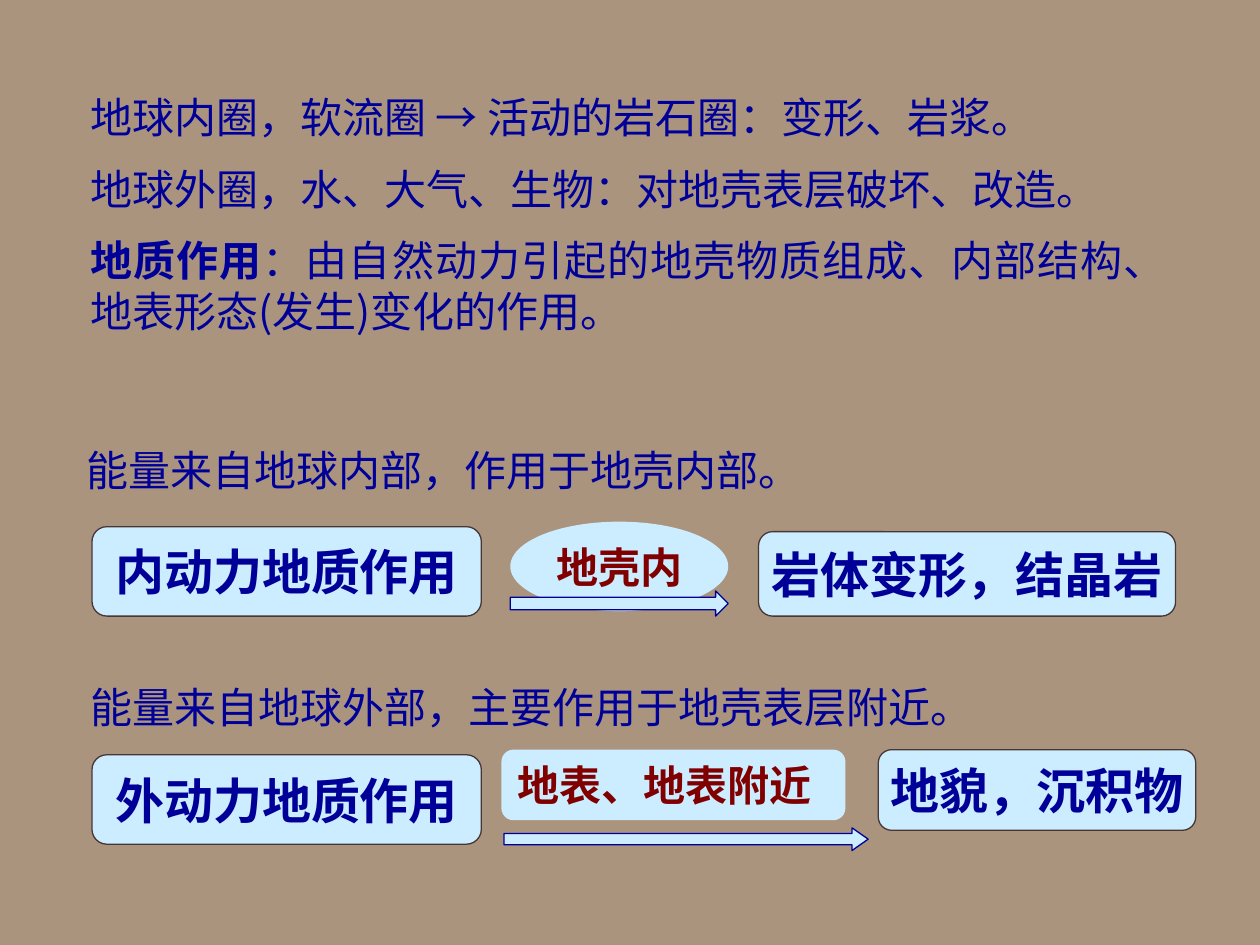
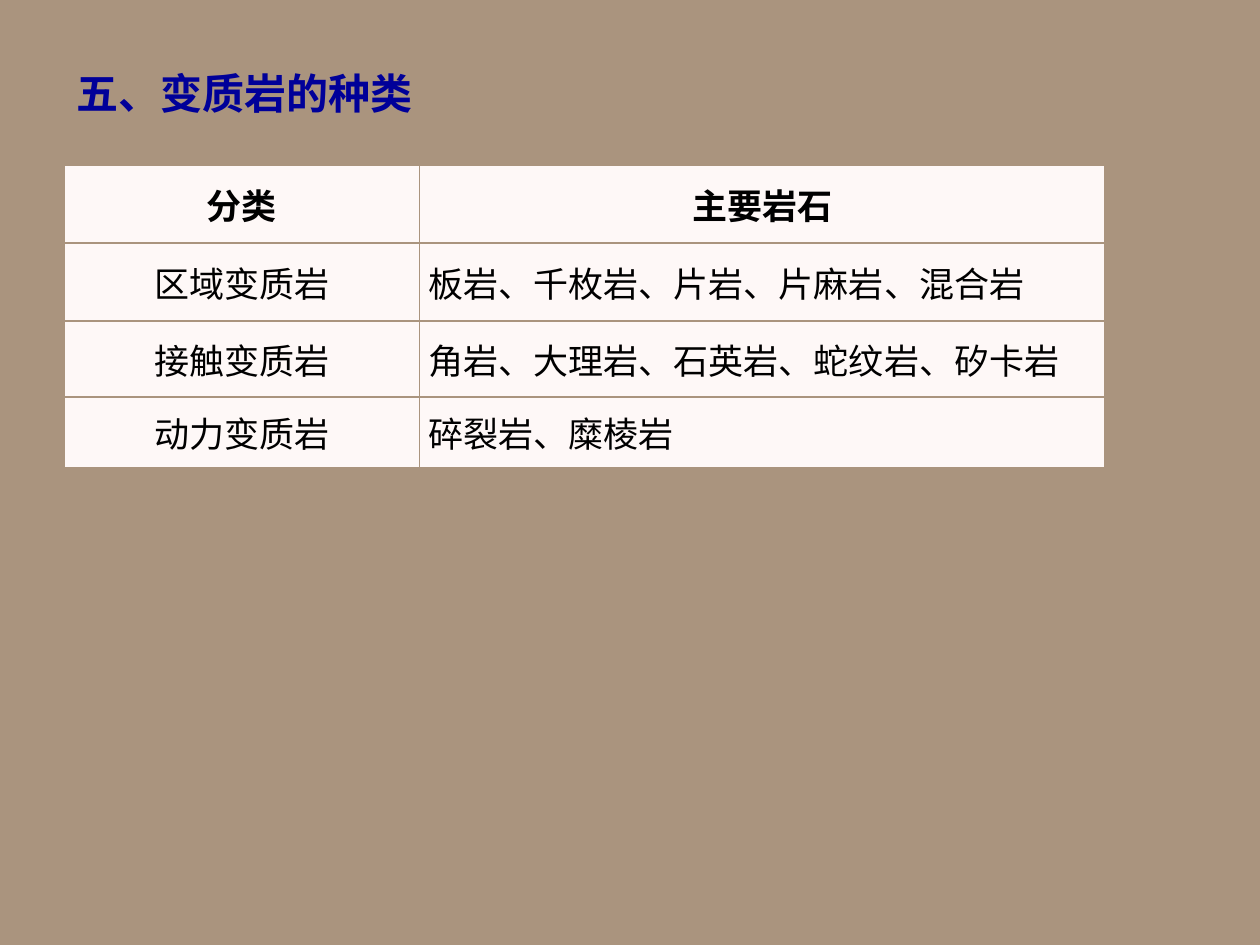
import dataclasses
import typing

import lxml.etree
import pptx
import pptx.dml.color
import pptx.dml.fill
import pptx.enum.shapes
import pptx.enum.text
import pptx.oxml.ns
import pptx.slide
import pptx.text.text
import pptx.util

Inches = pptx.util.Inches
Pt = pptx.util.Pt
Shape = pptx.enum.shapes.MSO_SHAPE
Align = pptx.enum.text.PP_ALIGN
Anchor = pptx.enum.text.MSO_ANCHOR
qn = pptx.oxml.ns.qn

FACE = "Noto Sans CJK SC"
GROUND = "AA947E"
NAVY = "000099"
MAROON = "800000"
PALE = "CCECFF"
EDGE = "463634"
CELL = "FEF8F7"
BLACK = "000000"


@dataclasses.dataclass
class Style:
    """The look of a paragraph."""
    size: int = 24
    color: str = NAVY
    bold: bool = False
    align: Align = Align.LEFT


@dataclasses.dataclass
class Note:
    """A text box, with each paragraph as a bold lead and a plain rest."""
    left: float
    top: float
    width: float
    height: float
    lines: list[tuple[str, str]]
    style: Style


@dataclasses.dataclass
class Node:
    """A filled shape with optional text."""
    kind: Shape
    left: float
    top: float
    width: float
    height: float
    text: str = ""
    style: typing.Optional[Style] = None
    line: typing.Optional[str] = None
    wrap: bool = False
    adjust: tuple[float, ...] = ()


PLAIN = Style()
JUST = Style(align=Align.JUSTIFY)
TITLE = Style(bold=True)
FORCE = Style(28, bold=True, align=Align.CENTER)
PLACE = Style(color=MAROON, bold=True)
MIDDLE = dataclasses.replace(PLACE, align=Align.CENTER)
HEAD = Style(20, BLACK, True, Align.CENTER)
CLASS = Style(20, BLACK, align=Align.CENTER)
ROCKS = Style(20, BLACK)

BOX = Shape.FLOWCHART_ALTERNATE_PROCESS
ARROW = Shape.RIGHT_ARROW

NOTES = [
    Note(0.59, 3.48, 5.88, 0.5, [("", "能量来自地球内部，作用于地壳内部。")], PLAIN),
    Note(0.62, 5.36, 8.32, 0.5, [("", "能量来自地球外部，主要作用于地壳表层附近。")], PLAIN),
    Note(0.62, 0.68, 8.4, 2.1, [
        ("", "地球内圈，软流圈 → 活动的岩石圈：变形、岩浆。"),
        ("", "地球外圈，水、大气、生物：对地壳表层破坏、改造。"),
        ("地质作用", "：由自然动力引起的地壳物质组成、内部结构、地表形态(发生)变化的作用。"),
    ], JUST),
]

NODES = [
    Node(BOX, 0.73, 4.18, 3.09, 0.71, "内动力地质作用", FORCE, EDGE),
    Node(BOX, 0.73, 5.99, 3.09, 0.71, "外动力地质作用", FORCE, EDGE),
    Node(Shape.OVAL, 4.05, 4.14, 1.73, 0.71, "地壳内", MIDDLE),
    Node(BOX, 6.02, 4.22, 3.31, 0.67, "岩体变形，结晶岩", FORCE, EDGE),
    Node(ARROW, 4.05, 4.69, 1.73, 0.2, line=NAVY, adjust=(0.5, 0.5)),
    Node(BOX, 6.97, 5.95, 2.52, 0.64, "地貌，沉积物", FORCE, EDGE),
    Node(ARROW, 4, 6.57, 2.89, 0.18, line=NAVY, adjust=(0.5, 0.71)),
    Node(Shape.ROUNDED_RECTANGLE, 3.98, 5.95, 2.73, 0.56, "地表、地表附近",
         PLACE, wrap=True, adjust=(0.17,)),
]

ROWS = [
    ("分类", "主要岩石"),
    ("区域变质岩", "板岩、千枚岩、片岩、片麻岩、混合岩"),
    ("接触变质岩", "角岩、大理岩、石英岩、蛇纹岩、矽卡岩"),
    ("动力变质岩", "碎裂岩、糜棱岩"),
]
WIDTHS = (2.82, 5.44)
HEIGHTS = (0.62, 0.62, 0.6, 0.56)


def shade(color: str) -> pptx.dml.color.RGBColor:
    """Turn a hex string into a colour."""
    return pptx.dml.color.RGBColor.from_string(color)


def flood(fill: pptx.dml.fill.FillFormat, color: str) -> None:
    """Make a fill solid in one colour."""
    fill.solid()
    fill.fore_color.rgb = shade(color)


def dress(para: pptx.text.text._Paragraph, style: Style) -> None:
    """Give a paragraph its alignment and font, for Latin and Chinese."""
    para.alignment = style.align
    font = para.font
    font.size = Pt(style.size)
    font.bold = style.bold
    font.color.rgb = shade(style.color)
    font.name = FACE
    props = para._p.pPr.find(qn("a:defRPr"))
    lxml.etree.SubElement(props, qn("a:ea"), typeface=FACE)


def write(slide: pptx.slide.Slide, note: Note) -> None:
    """Add a text box."""
    box = slide.shapes.add_textbox(Inches(note.left), Inches(note.top),
                                   Inches(note.width), Inches(note.height))
    frame = box.text_frame
    frame.word_wrap = True
    frame.auto_size = pptx.enum.text.MSO_AUTO_SIZE.SHAPE_TO_FIT_TEXT
    for i, (lead, rest) in enumerate(note.lines):
        para = frame.add_paragraph() if i else frame.paragraphs[0]
        if i:
            para.space_before = Pt(note.style.size / 2)
        if lead:
            run = para.add_run()
            run.text = lead
            run.font.bold = True
        para.add_run().text = rest
        dress(para, note.style)


def draw(slide: pptx.slide.Slide, node: Node) -> None:
    """Add a filled shape."""
    shape = slide.shapes.add_shape(node.kind, Inches(node.left), Inches(node.top),
                                   Inches(node.width), Inches(node.height))
    shape.shadow.inherit = False
    flood(shape.fill, PALE)
    for i, value in enumerate(node.adjust):
        shape.adjustments[i] = value
    if node.line:
        shape.line.color.rgb = shade(node.line)
        shape.line.width = Pt(0.75)
    else:
        shape.line.fill.background()
    if node.style:
        frame = shape.text_frame
        frame.word_wrap = node.wrap
        frame.vertical_anchor = Anchor.MIDDLE
        frame.text = node.text
        dress(frame.paragraphs[0], node.style)


def border(cell: typing.Any) -> None:
    """Rule all four sides of a cell in the ground colour."""
    props = cell._tc.get_or_add_tcPr()
    for i, side in enumerate(("lnL", "lnR", "lnT", "lnB")):
        line = lxml.etree.Element(qn(f"a:{side}"), w=str(Pt(1)))
        fill = lxml.etree.SubElement(line, qn("a:solidFill"))
        lxml.etree.SubElement(fill, qn("a:srgbClr"), val=GROUND)
        props.insert(i, line)


def grid(slide: pptx.slide.Slide) -> None:
    """Add the table of rock classes."""
    table = slide.shapes.add_table(len(ROWS), len(WIDTHS), Inches(0.51), Inches(1.31),
                                   Inches(sum(WIDTHS)), Inches(sum(HEIGHTS))).table
    for col, width in zip(table.columns, WIDTHS):
        col.width = Inches(width)
    for r, (texts, height) in enumerate(zip(ROWS, HEIGHTS)):
        table.rows[r].height = Inches(height)
        styles = (CLASS, ROCKS) if r else (HEAD, HEAD)
        for c, (text, style) in enumerate(zip(texts, styles)):
            cell = table.cell(r, c)
            cell.text = text
            cell.vertical_anchor = Anchor.MIDDLE
            cell.margin_left = cell.margin_right = Inches(0.07)
            cell.margin_top = cell.margin_bottom = 0
            flood(cell.fill, CELL)
            border(cell)
            dress(cell.text_frame.paragraphs[0], style)


def main() -> None:
    """Build and save both slides."""
    deck = pptx.Presentation()
    deck.slide_width, deck.slide_height = Inches(10), Inches(7.5)
    flood(deck.slide_master.background.fill, GROUND)
    blank = deck.slide_layouts[6]

    forces = deck.slides.add_slide(blank)
    for note in NOTES:
        write(forces, note)
    for node in NODES:
        draw(forces, node)

    kinds = deck.slides.add_slide(blank)
    write(kinds, Note(0.51, 0.49, 7.72, 0.5, [("", "五、变质岩的种类")], TITLE))
    grid(kinds)
    deck.save("out.pptx")


if __name__ == "__main__":
    main()
